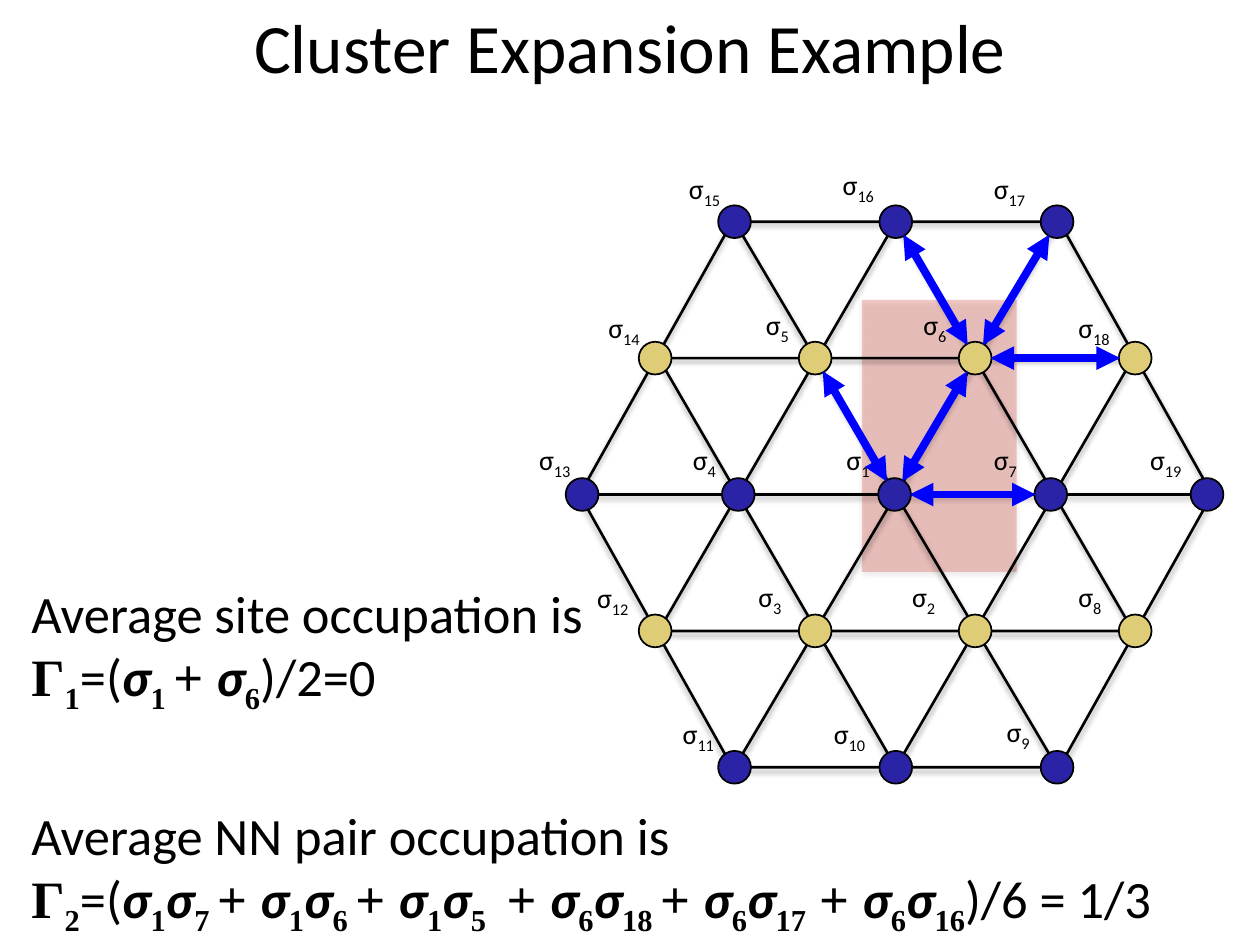
import math

from lxml import etree
from pptx import Presentation, util as u
from pptx.dml.color import RGBColor
from pptx.enum import shapes, text
from pptx.oxml import ns

BLACK = RGBColor(0x00, 0x00, 0x00)
NAVY = RGBColor(0x2A, 0x23, 0xA6)
SAND = RGBColor(0xDE, 0xCC, 0x76)
BLUE = RGBColor(0x00, 0x00, 0xFF)
RED = RGBColor(0xD1, 0x12, 0x00)
SANS, SERIF = "Calibri", "Times New Roman"

COLUMNS, ROWS = 100, 75
CELL = u.Inches(0.1)
SITE = 2.6
ARROW_GAP = 1.2

LATTICE_ROWS = [
    (12.3, 12.8, NAVY, {15: (4.6, 4.5), 16: (5.2, 4.8), 17: (6, 4.5)}),
    (6, 12.7, SAND, {14: (4.7, 4.3), 5: (4.9, 4.5), 6: (5.1, 4.5), 18: (5.5, 4.3)}),
    (0.2, 12.4, NAVY, {13: (4.4, 4.6), 4: (4.6, 4.6), 1: (4.8, 4.6),
                       7: (5.5, 4.6), 19: (5.5, 4.6)}),
    (6, 12.7, SAND, {12: (5.6, 4.5), 3: (5.5, 4.6), 2: (6, 4.6), 8: (5.5, 4.6)}),
    (12.3, 12.8, NAVY, {11: (5.1, 4.5), 10: (5.9, 4.5), 9: (5, 4.7)}),
]
PAIRS = [(7, 1), (6, 1), (18, 6), (16, 6), (5, 1), (17, 6)]

SITE_TERMS = [("σ", "sigma"), ("1 ", "sub"), ("+ ", "serif"), ("σ", "sigma"), ("6", "sub")]
PAIR_TERMS = [("1", "7 ", "+ "), ("1", "6 ", "+ "), ("1", "5 ", " + "),
              ("6", "18 ", "+ "), ("6", "17", " + "), ("6", "16", "")]
STYLES = {
    "plain": (SANS, False, False),
    "sigma": (SANS, True, True),
    "serif": (SERIF, True, False),
    "sub": (SERIF, True, False),
}


def cells(*values):
    return [round(value * CELL) for value in values]


def set_effect(shape, blur=0, alpha=0):
    properties = shape._element.spPr
    for old in properties.findall(ns.qn("a:effectLst")):
        properties.remove(old)
    effects = etree.SubElement(properties, ns.qn("a:effectLst"))
    if blur:
        shadow = etree.SubElement(
            effects, ns.qn("a:outerShdw"), blurRad=str(u.Pt(blur)),
            dist=str(u.Pt(1.8)), dir="5400000", rotWithShape="0")
        color = etree.SubElement(shadow, ns.qn("a:srgbClr"), val=str(BLACK))
        etree.SubElement(color, ns.qn("a:alpha"), val=str(alpha * 1000))


def add_outline(parent, kind, box):
    shape = parent.add_shape(kind, *cells(*box))
    shape.fill.background()
    shape.line.color.rgb = BLACK
    shape.line.width = u.Pt(1.5)
    set_effect(shape, 3.1, 35)
    return shape


def add_line(parent, start, end, color, width):
    line = parent.add_connector(shapes.MSO_CONNECTOR.STRAIGHT, *cells(*start, *end))
    line.line.color.rgb = color
    line.line.width = u.Pt(width)
    return line


def add_box(parent, box):
    frame = parent.add_textbox(*cells(*box)).text_frame
    frame.word_wrap = True
    return frame


def add_span(para, words, size, style="plain", lowered=False):
    span = para.add_run()
    span.text = words
    font = span.font
    font.name, font.bold, font.italic = STYLES[style]
    font.size = u.Pt(size)
    font.color.rgb = BLACK
    if lowered:
        span._r.get_or_add_rPr().set("baseline", "-25000")


def draw_title(page, box):
    frame = add_box(page.shapes, box)
    frame.vertical_anchor = text.MSO_ANCHOR.MIDDLE
    para = frame.paragraphs[0]
    para.alignment = text.PP_ALIGN.CENTER
    add_span(para, "Cluster Expansion Example", 39.6)


def draw_highlight(page, box):
    shape = page.shapes.add_shape(shapes.MSO_SHAPE.RECTANGLE, *cells(*box))
    shape.fill.solid()
    shape.fill.fore_color.rgb = RED
    color = shape._element.spPr.find(ns.qn("a:solidFill"))[0]
    etree.SubElement(color, ns.qn("a:alpha"), val="22000")
    shape.line.fill.background()
    set_effect(shape, 3.1, 35)


def find_sites(box):
    left, top, _, height = box
    pitch = height / (len(LATTICE_ROWS) - 1)
    return {
        number: (left + first + step * column, top + pitch * row)
        for row, (first, step, _, labels) in enumerate(LATTICE_ROWS)
        for column, number in enumerate(labels)
    }


def draw_lattice(page, box):
    left, top, width, height = box
    sites = find_sites(box)
    group = page.shapes.add_group_shape().shapes
    for start, end in [(15, 9), (17, 11), (13, 19)]:
        line = add_line(group, sites[start], sites[end], BLACK, 1.5)
        set_effect(line, 3.1, 38)
    hexagon = add_outline(group, shapes.MSO_SHAPE.HEXAGON, box)
    hexagon.adjustments[0] = 0.28
    side, inset = width * 0.75, width / 8
    for drop, flipped in [(0, False), (height / 4, True)]:
        triangle = add_outline(group, shapes.MSO_SHAPE.ISOSCELES_TRIANGLE,
                               (left + inset, top + drop, side, height * 0.75))
        if flipped:
            triangle._element.spPr.find(ns.qn("a:xfrm")).set("flipV", "1")
    for _, _, color, labels in LATTICE_ROWS:
        for number in labels:
            x, y = sites[number]
            site = group.add_shape(shapes.MSO_SHAPE.OVAL,
                                   *cells(x - SITE / 2, y - SITE / 2, SITE, SITE))
            site.fill.solid()
            site.fill.fore_color.rgb = color
            site.line.color.rgb = BLACK
            site.line.width = u.Pt(1)
            set_effect(site)


def draw_labels(page, box):
    sites = find_sites(box)
    group = page.shapes.add_group_shape().shapes
    for _, _, _, labels in LATTICE_ROWS:
        for number, (shift, rise) in labels.items():
            x, y = sites[number]
            para = add_box(group, (x - shift, y - rise, 5.4, 6)).paragraphs[0]
            add_span(para, "σ", 16)
            add_span(para, str(number), 16, lowered=True)


def draw_averages(page, box):
    pair_terms = []
    for first, second, joint in PAIR_TERMS:
        pair_terms += [("σ", "sigma"), (first, "sub"), ("σ", "sigma"), (second, "sub")]
        if joint:
            pair_terms.append((joint, "serif"))
    frame = add_box(page.shapes, box)
    averages = [
        ("Average site occupation is", "1", SITE_TERMS, ")/2=0"),
        ("Average NN pair occupation is", "2", pair_terms, ")/6 = 1/3"),
    ]
    for index, (heading, order, terms, result) in enumerate(averages):
        para = frame.add_paragraph() if index else frame.paragraphs[0]
        if index:
            para.space_before = u.Pt(50)
        add_span(para, heading, 30)
        para.add_line_break()
        formula = [("Γ", "serif"), (order, "sub"), ("=(", "plain"), *terms, (result, "plain")]
        for words, style in formula:
            add_span(para, words, 30, style, style == "sub")


def draw_pairs(page, box):
    sites = find_sites(box)
    for first, second in PAIRS:
        (x1, y1), (x2, y2) = sites[first], sites[second]
        share = ARROW_GAP / math.dist(sites[first], sites[second])
        dx, dy = (x2 - x1) * share, (y2 - y1) * share
        arrow = add_line(page.shapes, (x1 + dx, y1 + dy), (x2 - dx, y2 - dy), BLUE, 4.5)
        stroke = arrow._element.spPr.find(ns.qn("a:ln"))
        for end in ("a:headEnd", "a:tailEnd"):
            etree.SubElement(stroke, ns.qn(end), type="triangle")
        set_effect(arrow)


def main():
    deck = Presentation()
    deck.slide_width, deck.slide_height = cells(COLUMNS, ROWS)
    page = deck.slides.add_slide(deck.slide_layouts[6])
    lattice = (46, 17.6, 50.2, 43.3)
    draw_highlight(page, (68.4, 23.8, 12.3, 21.6))
    draw_title(page, (0, 0.2, COLUMNS, 6.9))
    draw_lattice(page, lattice)
    draw_labels(page, lattice)
    draw_averages(page, (1.5, 45.6, 97.3, 26.7))
    draw_pairs(page, lattice)
    deck.save("out.pptx")


if __name__ == "__main__":
    main()
